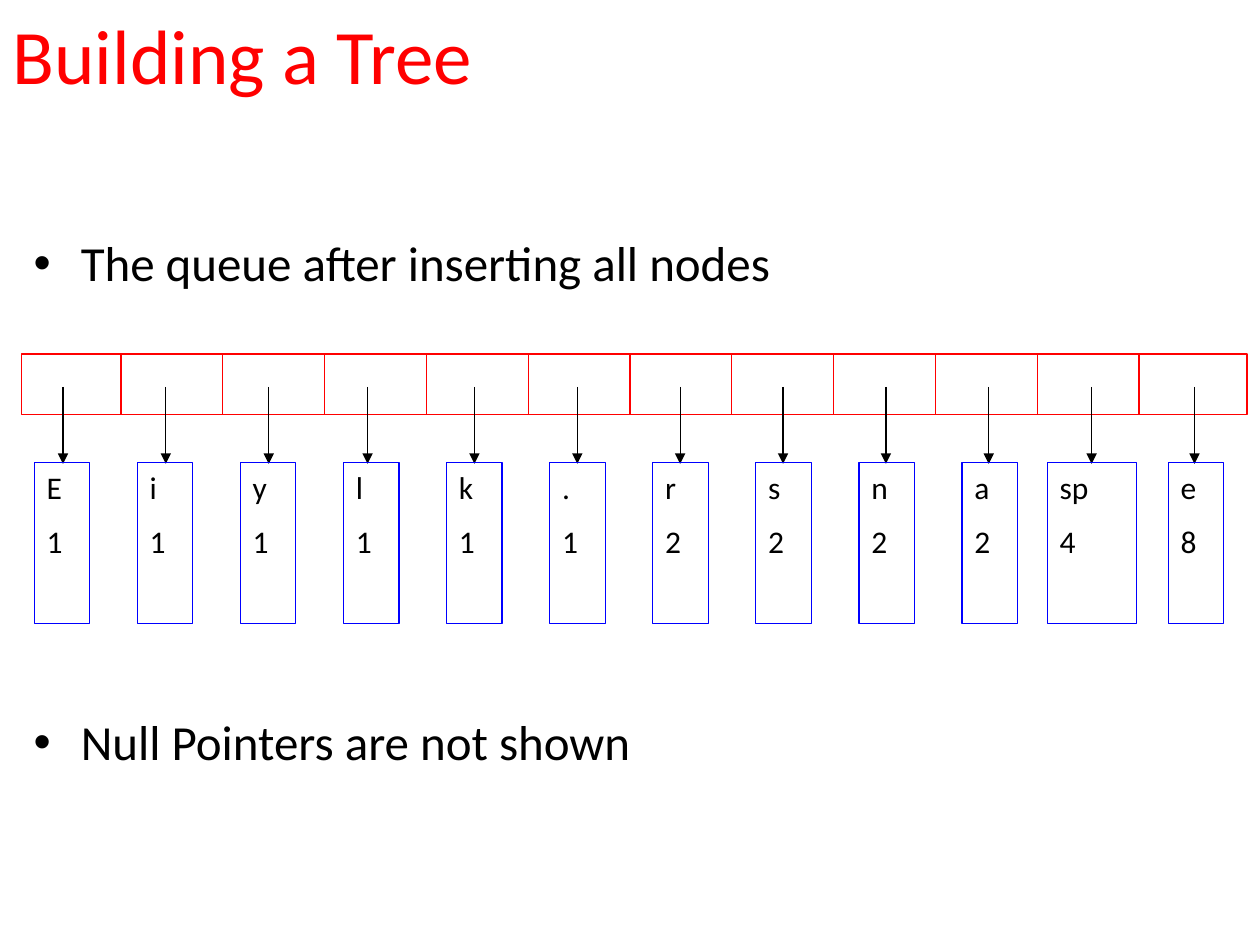
from dataclasses import dataclass

import pptx
import pptx.dml.color
import pptx.enum.shapes
import pptx.enum.text
import pptx.oxml.ns
import pptx.util
from lxml import etree
from pptx.util import Cm

RED, BLUE, BLACK, WHITE = "FF0000", "0000FF", "000000", "FFFFFF"
FONT = "Calibri"


@dataclass
class Node:
    symbol: str
    count: int
    shift: float = 0  # box offset from the even spacing, cm
    width: float = 1.12
    pointer_shift: float = 0


NODES = [
    Node("E", 1), Node("i", 1), Node("y", 1), Node("l", 1, pointer_shift=-0.08),
    Node("k", 1), Node(".", 1), Node("r", 2), Node("s", 2), Node("n", 2),
    Node("a", 2), Node("sp", 4, shift=-0.36, width=1.8), Node("e", 8),
]
LAST = len(NODES) - 1


def color(value: str) -> pptx.dml.color.RGBColor:
    return pptx.dml.color.RGBColor.from_string(value)


def spread(first: float, last: float, count: int) -> list[float]:
    """Evenly spaced positions from first to last."""
    return [first + (last - first) * index / (count - 1) for index in range(count)]


def add_xml(parent, tag: str, **attributes: str) -> None:
    etree.SubElement(parent, pptx.oxml.ns.qn(tag), **attributes)


def format_paragraph(paragraph, size: float, text_color: str = BLACK,
                     space_before: float = 0) -> None:
    paragraph.alignment = pptx.enum.text.PP_ALIGN.LEFT
    paragraph.space_before = pptx.util.Pt(space_before)
    paragraph.font.name = FONT
    paragraph.font.size = pptx.util.Pt(size)
    paragraph.font.color.rgb = color(text_color)


def add_box(left: float, top: float, width: float, height: float, line: str):
    shape = slide.shapes.add_shape(pptx.enum.shapes.MSO_SHAPE.RECTANGLE,
                                   Cm(left), Cm(top), Cm(width), Cm(height))
    shape.shadow.inherit = False
    shape.fill.background()
    shape.line.color.rgb = color(line)
    shape.line.width = pptx.util.Pt(0.75)
    return shape


def add_vertical(x: float, top: float, bottom: float, line: str, arrow: bool = False) -> None:
    connector = slide.shapes.add_connector(pptx.enum.shapes.MSO_CONNECTOR.STRAIGHT,
                                           Cm(x), Cm(top), Cm(x), Cm(bottom))
    connector.line.color.rgb = color(line)
    connector.line.width = pptx.util.Pt(0.75)
    if arrow:
        add_xml(connector.line._get_or_add_ln(), "a:tailEnd", type="triangle")
    add_xml(connector._element.spPr, "a:effectLst")


def add_node(node: Node, left: float) -> None:
    shape = add_box(left + node.shift, 9.32, node.width, 3.25, BLUE)
    frame = shape.text_frame
    frame.word_wrap = True
    frame.vertical_anchor = pptx.enum.text.MSO_ANCHOR.TOP
    frame.text = f"{node.symbol}\n{node.count}"
    for paragraph, space in zip(frame.paragraphs, (0, 9)):
        format_paragraph(paragraph, 18, space_before=space)


presentation = pptx.Presentation()
presentation.slide_width, presentation.slide_height = Cm(25.4), Cm(19.05)
slide = presentation.slides.add_slide(presentation.slide_layouts[5])

# Title
title = slide.shapes.title
title.left, title.top, title.width, title.height = Cm(0), Cm(-0.5), Cm(22.86), Cm(3.18)
title.text_frame.text = "Building a Tree"
title.text_frame.vertical_anchor = pptx.enum.text.MSO_ANCHOR.MIDDLE
format_paragraph(title.text_frame.paragraphs[0], 44, RED)

# Bullets above and below the queue
body = slide.shapes.add_textbox(Cm(0.43), Cm(4.57), Cm(24.97), Cm(11.43))
body.text_frame.word_wrap = True
body.text_frame.text = "The queue after inserting all nodes\nNull Pointers are not shown"
for paragraph, space in zip(body.text_frame.paragraphs, (0, 240)):
    paragraph.space_before = pptx.util.Pt(space)
    properties = paragraph._p.get_or_add_pPr()
    properties.set("marL", str(Cm(0.95)))
    properties.set("indent", str(Cm(-0.95)))
    add_xml(properties, "a:buFont", typeface="Arial")
    add_xml(properties, "a:buChar", char="•")
    format_paragraph(paragraph, 28, space_before=space)

# Queue cells
queue = add_box(0.43, 7.14, 24.71, 1.22, RED)
queue.fill.solid()
queue.fill.fore_color.rgb = color(WHITE)
for x in spread(2.44, 22.96, LAST):
    add_vertical(x, 7.14, 8.36, RED)

# Pointers and the nodes they lead to
for node, x in zip(NODES, spread(1.27, 24.08, len(NODES))):
    add_vertical(x + node.pointer_shift, 7.8, 9.35, BLACK, arrow=True)
for node, left in zip(NODES, spread(0.69, 23.55, len(NODES))):
    add_node(node, left)

presentation.save("out.pptx")
